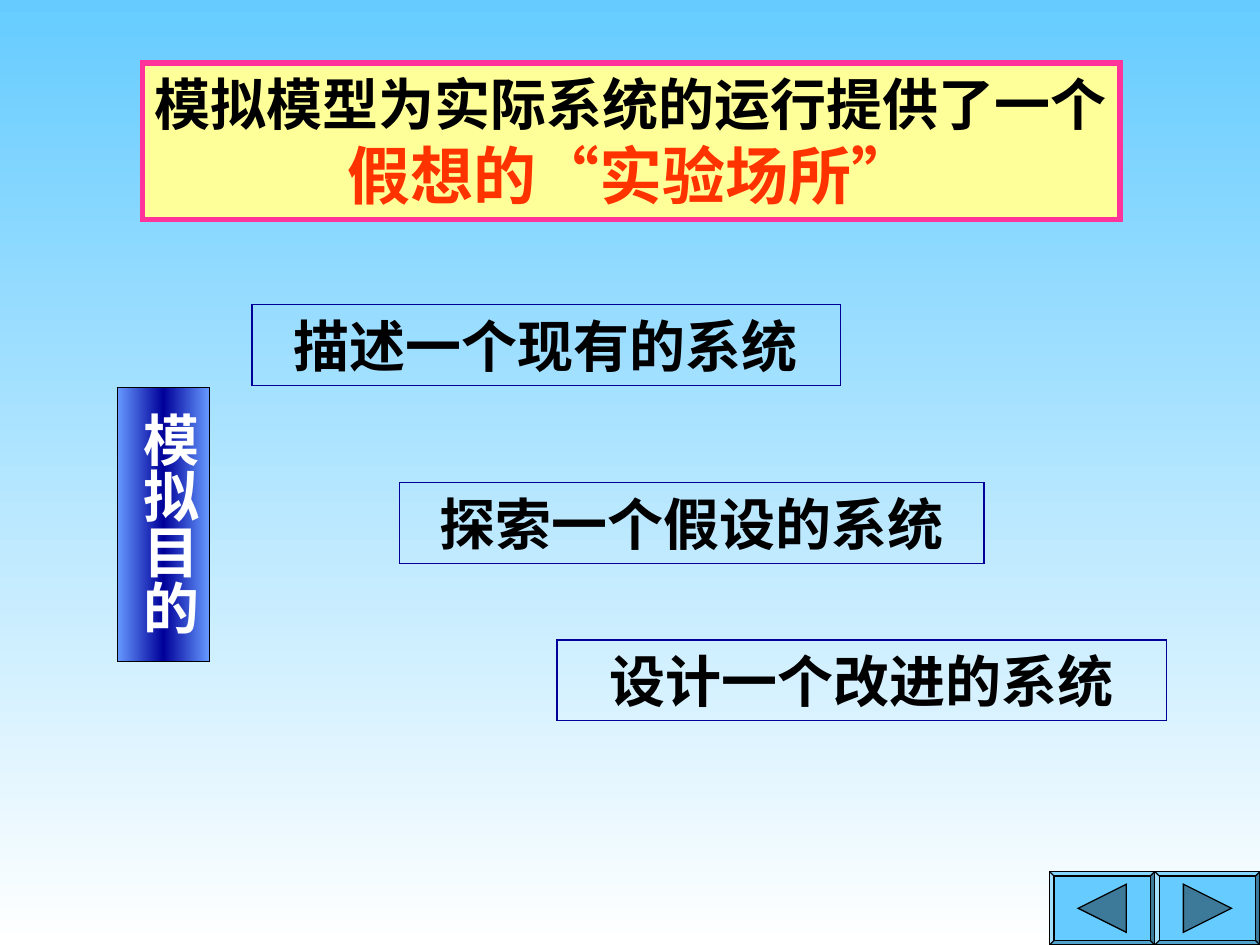
import copy

import pptx
import pptx.dml.color
import pptx.enum.lang
import pptx.enum.shapes
import pptx.enum.text
import pptx.oxml
import pptx.oxml.ns
import pptx.util
from pptx.util import Cm

SHAPES = pptx.enum.shapes.MSO_SHAPE
ANCHORS = pptx.enum.text.MSO_ANCHOR
qn = pptx.oxml.ns.qn


def colour(value):
    """Return the colour for a hex string."""
    return pptx.dml.color.RGBColor.from_string(value)


def paint_gradient(fill, element, values, angle):
    """Fill with evenly spaced gradient stops."""
    fill.gradient()
    fill.gradient_angle = angle
    stops = element.find(".//" + qn("a:gsLst"))
    while len(stops) < len(values):
        stops.append(copy.deepcopy(stops[0]))
    for index, (stop, value) in enumerate(zip(fill.gradient_stops, values)):
        stop.position = index / (len(values) - 1)
        stop.color.rgb = colour(value)


def outline(shape, value, width=0.74):
    """Give a shape a solid outline with sharp corners."""
    shape.line.color.rgb = colour(value)
    shape.line.width = pptx.util.Pt(width)
    shape.element.spPr.find(qn("a:ln")).append(pptx.oxml.parse_xml(
        '<a:miter %s lim="800000"/>' % pptx.oxml.ns.nsdecls("a")))


def add_box(page, kind, box, fill=None, line="000000"):
    """Add a flat outlined shape, hollow unless a fill is given."""
    shape = page.shapes.add_shape(kind, *map(Cm, box))
    shape.shadow.inherit = False
    outline(shape, line)
    if fill:
        shape.fill.solid()
        shape.fill.fore_color.rgb = colour(fill)
    else:
        shape.fill.background()
    return shape


def write_text(shape, lines, font, anchor):
    """Write centred bold lines given as text, size and colour."""
    frame = shape.text_frame
    frame.text = "\n".join(text for text, size, value in lines)
    frame.vertical_anchor = anchor
    for para, (text, size, value) in zip(frame.paragraphs, lines):
        para.alignment = pptx.enum.text.PP_ALIGN.CENTER
        span = para.runs[0]
        span.font.name = font
        span.font.size = pptx.util.Pt(size)
        span.font.bold = True
        span.font.color.rgb = colour(value)
        span.font.language_id = pptx.enum.lang.MSO_LANGUAGE_ID.SIMPLIFIED_CHINESE
        east = pptx.oxml.parse_xml(
            '<a:ea %s typeface="Noto Sans CJK SC"/>' % pptx.oxml.ns.nsdecls("a"))
        span.font._element.find(qn("a:latin")).addnext(east)


def place_banner(page, box):
    """Turn the title into the framed banner."""
    title = page.shapes.title
    title.left, title.top, title.width, title.height = map(Cm, box)
    title.fill.solid()
    title.fill.fore_color.rgb = colour("FFFF99")
    outline(title, "FF3399", 3)
    write_text(title, [("模拟模型为实际系统的运行提供了一个", 32, "000000"),
                       ("假想的“实验场所”", 36, "FF3300")],
               "Times New Roman", ANCHORS.MIDDLE)
    frame = title.text_frame
    frame.margin_left = frame.margin_right = Cm(0)
    frame.word_wrap = False
    frame.auto_size = pptx.enum.text.MSO_AUTO_SIZE.NONE


def place_purpose(page, box):
    """Add the vertical gradient label."""
    label = add_box(page, SHAPES.RECTANGLE, box)
    paint_gradient(label.fill, label.element.spPr, ["6699FF", "000099", "6699FF"], 180)
    write_text(label, [("模拟目的", 32, "FFFFFF")], "Times New Roman", ANCHORS.TOP)
    frame = label.text_frame
    frame.margin_left = frame.margin_right = Cm(0.13)
    frame.margin_top, frame.margin_bottom = Cm(0.5), Cm(0.4)
    frame._txBody.bodyPr.set("vert", "eaVert")


def place_goal(page, box, text):
    """Add one outlined goal."""
    goal = add_box(page, SHAPES.RECTANGLE, box, line="000099")
    write_text(goal, [(text, 32, "000000")], "Noto Sans CJK SC", ANCHORS.MIDDLE)


def place_button(page, box, rotation):
    """Add a bevelled button with a triangle pointing sideways."""
    left, top, width, height = box
    button = add_box(page, SHAPES.BEVEL, box, "66CCFF")
    button.adjustments[0] = 0.06
    side = 0.97
    arrow_box = (left + (width - side) / 2, top + (height - side) / 2, side, side)
    arrow = add_box(page, SHAPES.ISOSCELES_TRIANGLE, arrow_box, "3D7A99")
    arrow.rotation = rotation


def build():
    """Build and save the slide."""
    deck = pptx.Presentation()
    deck.slide_width, deck.slide_height = Cm(25.4), Cm(19.05)
    page = deck.slides.add_slide(deck.slide_layouts[5])
    paint_gradient(page.background.fill, page.element, ["66CCFF", "FFFFFF"], 270)
    place_banner(page, (2.87, 1.27, 19.71, 3.15))
    place_purpose(page, (2.37, 7.81, 1.85, 5.53))
    goals = [(5.08, 6.14, 11.86, "描述一个现有的系统"),
             (8.05, 9.73, 11.79, "探索一个假设的系统"),
             (11.23, 12.9, 12.29, "设计一个改进的系统")]
    for left, top, width, text in goals:
        place_goal(page, (left, top, width, 1.63), text)
    width, height = 2.12, 1.48
    for index, rotation in enumerate((270, 90)):
        left = 25.4 - (2 - index) * width
        place_button(page, (left, 19.05 - height, width, height), rotation)
    deck.save("out.pptx")


build()
